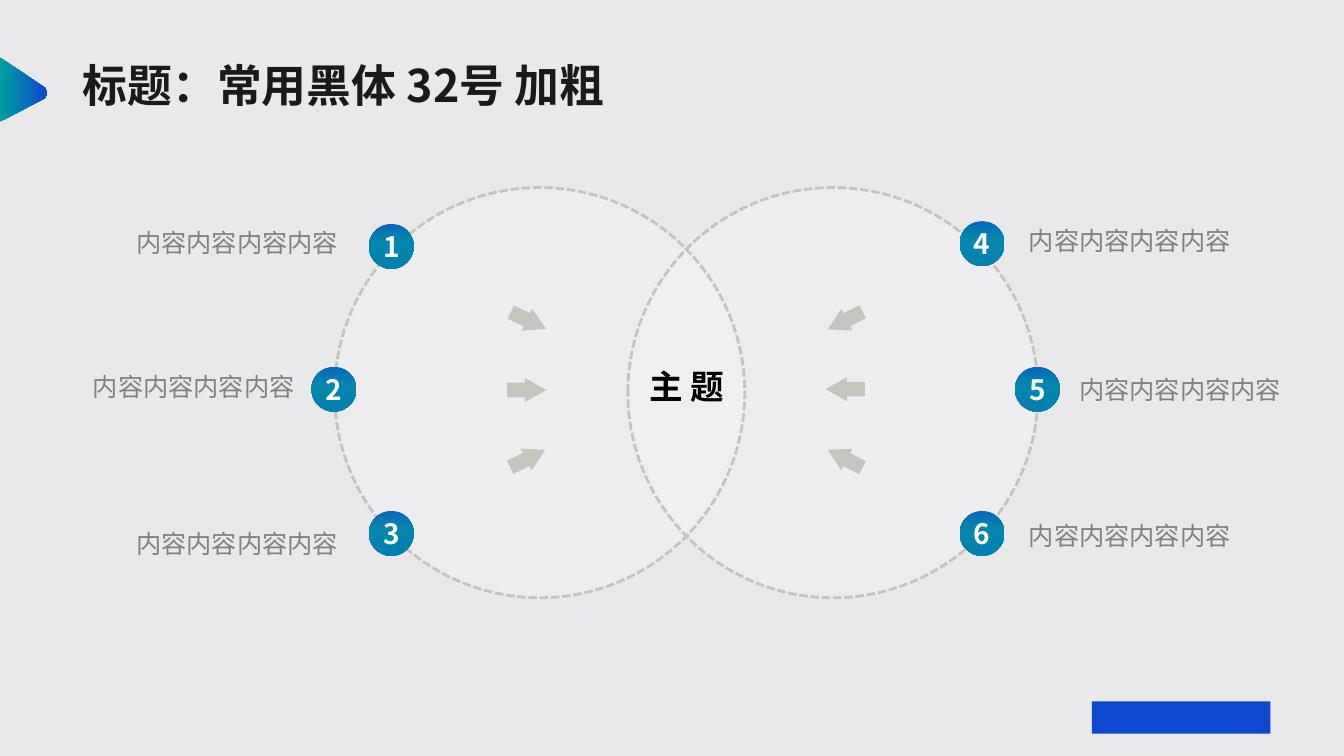
"""Build a slide of two overlapping circles whose six points lead to one theme."""
from dataclasses import dataclass

from lxml import etree
from pptx import Presentation
from pptx import util as u
from pptx.dml.color import RGBColor
from pptx.enum import dml, shapes, text
from pptx.oxml.ns import qn


@dataclass(frozen=True)
class Theme:
    font: str = "Noto Sans CJK SC"
    back: str = "E9E9EC"
    disc: str = "F2F2F2"
    ring: str = "C6C4BE"
    arrow: str = "C6C4BF"
    brand: str = "0D48CE"
    title: str = "1A1A1A"
    topic: str = "000000"
    label: str = "808080"
    white: str = "FFFFFF"
    flag_stops: tuple = ((0, "00A0A0"), (99, "0D48CE"))
    badge_stops: tuple = ((0, "0965BE"), (36, "0485AD"), (100, "0482AF"))
    title_size: int = 32
    topic_size: int = 24
    badge_size: int = 20
    label_size: int = 18


class Deck:
    def __init__(self, theme):
        self.t = theme
        self.prs = Presentation()
        self.prs.slide_width, self.prs.slide_height = u.Pt(960), u.Pt(540)
        self.s = self.prs.slides.add_slide(self.prs.slide_layouts[6])
        fill = self.s.background.fill
        fill.solid()
        fill.fore_color.rgb = RGBColor.from_string(theme.back)

    def shape(self, kind, x, y, w, h, color=None, alpha=None):
        sp = self.s.shapes.add_shape(kind, u.Pt(x), u.Pt(y), u.Pt(w), u.Pt(h))
        sp.shadow.inherit = False
        sp.line.fill.background()
        if color is None:
            sp.fill.background()
            return sp
        sp.fill.solid()
        sp.fill.fore_color.rgb = RGBColor.from_string(color)
        if alpha is not None:
            clr = sp._element.spPr.find(".//" + qn("a:srgbClr"))
            etree.SubElement(clr, qn("a:alpha"), val=str(alpha * 1000))
        return sp

    def gradient(self, sp, stops, angle):
        sp.fill.gradient()
        grad = sp._element.spPr.find(qn("a:gradFill"))
        for child in list(grad):
            grad.remove(child)
        gs_list = etree.SubElement(grad, qn("a:gsLst"))
        for pos, color in stops:
            gs = etree.SubElement(gs_list, qn("a:gs"), pos=str(pos * 1000))
            etree.SubElement(gs, qn("a:srgbClr"), val=color)
        etree.SubElement(grad, qn("a:lin"), ang=str(angle * 60000), scaled="0")

    def add_text(self, tf, words, size, color, bold=False, align=text.PP_ALIGN.LEFT):
        p = tf.paragraphs[0]
        p.alignment = align
        r = p.add_run()
        r.text = words
        r.font.name, r.font.size, r.font.bold = self.t.font, u.Pt(size), bold
        r.font.color.rgb = RGBColor.from_string(color)
        etree.SubElement(r._r.get_or_add_rPr(), qn("a:ea"), typeface=self.t.font)

    def textbox(self, x, y, w, h, words, size, color, wrap=False, **style):
        sp = self.s.shapes.add_textbox(u.Pt(x), u.Pt(y), u.Pt(w), u.Pt(h))
        tf = sp.text_frame
        tf.word_wrap = wrap
        tf.auto_size = text.MSO_AUTO_SIZE.SHAPE_TO_FIT_TEXT
        self.add_text(tf, words, size, color, **style)

    def flag(self):
        curve = [(31, 70.6), (34.6, 69), (34.6, 64), (31, 62)]
        steps = 8
        tip = []
        for i in range(steps + 1):
            b = i / steps
            a = 1 - b
            weights = (a ** 3, 3 * a * a * b, 3 * a * b * b, b ** 3)
            tip.append(tuple(u.Pt(sum(k * pt[axis] for k, pt in zip(weights, curve)))
                             for axis in (0, 1)))
        outline = self.s.shapes.build_freeform(0, u.Pt(41))
        outline.add_line_segments([(0, u.Pt(87))] + tip, close=True)
        sp = outline.convert_to_shape()
        sp.shadow.inherit = False
        sp.line.fill.background()
        self.gradient(sp, self.t.flag_stops, 0)

    def disc(self, x, y, size):
        self.shape(shapes.MSO_SHAPE.OVAL, x, y, size, size, self.t.disc, alpha=50)

    def ring(self, x, y, size):
        sp = self.shape(shapes.MSO_SHAPE.OVAL, x, y, size, size)
        sp.line.color.rgb = RGBColor.from_string(self.t.ring)
        sp.line.width = u.Pt(2)
        sp.line.dash_style = dml.MSO_LINE.SQUARE_DOT

    def badge(self, x, y, number):
        sp = self.shape(shapes.MSO_SHAPE.OVAL, x, y, 32, 32)
        self.gradient(sp, self.t.badge_stops, 90)
        tf = sp.text_frame
        tf.margin_left = tf.margin_right = tf.margin_top = tf.margin_bottom = 0
        tf.vertical_anchor = text.MSO_ANCHOR.MIDDLE
        self.add_text(tf, str(number), self.t.badge_size, self.t.white, True,
                      text.PP_ALIGN.CENTER)

    def arrow(self, x, y, angle):
        sp = self.shape(shapes.MSO_SHAPE.RIGHT_ARROW, x, y, 28, 17.3, self.t.arrow)
        sp.adjustments[0], sp.adjustments[1] = 0.605, 0.885
        sp.rotation = angle

    def label(self, x, y, words):
        self.textbox(x, y, 160, 29, words, self.t.label_size, self.t.label,
                     align=text.PP_ALIGN.RIGHT)


BADGES = [(263.5, 160), (222.5, 262), (263.5, 365),
          (685.5, 158), (725, 262), (685.5, 365)]
LABELS = [(88.5, 159), (57.5, 261.5), (88.5, 373.5),
          (726, 157.5), (762, 264), (726, 368)]
ARROWS = [(363.5, 220.3, 25), (362.2, 270, 0), (363, 319, 333.6),
          (589.7, 220.3, 153.2), (589.7, 269.3, 180), (589.7, 319, 207.6)]
CIRCLES = [(239, 134, 293), (448.5, 134, 293)]


def main():
    theme = Theme()
    deck = Deck(theme)
    deck.shape(shapes.MSO_SHAPE.RECTANGLE, 780, 501, 127.5, 23, theme.brand)
    deck.flag()
    for circle in CIRCLES:
        deck.disc(*circle)
    for circle in CIRCLES:
        deck.ring(*circle)
    for number, (x, y) in enumerate(BADGES, 1):
        deck.badge(x, y, number)
    for arrow in ARROWS:
        deck.arrow(*arrow)
    for x, y in LABELS:
        deck.label(x, y, "内容内容内容内容")
    deck.textbox(456.5, 258, 70.5, 36, "主 题", theme.topic_size, theme.topic, bold=True)
    deck.textbox(52, 38, 649.5, 47.5, "标题：常用黑体 32号 加粗", theme.title_size,
                 theme.title, wrap=True, bold=True)
    deck.prs.save("out.pptx")


if __name__ == "__main__":
    main()
